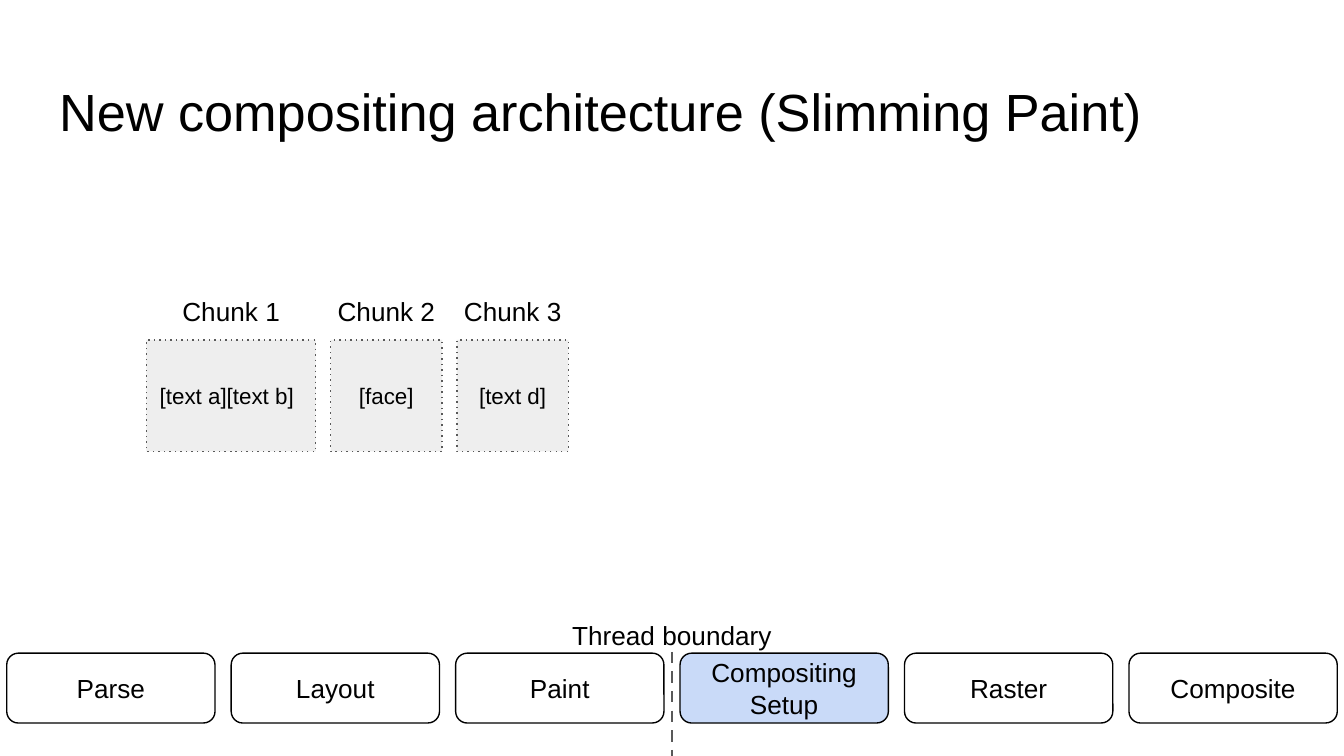
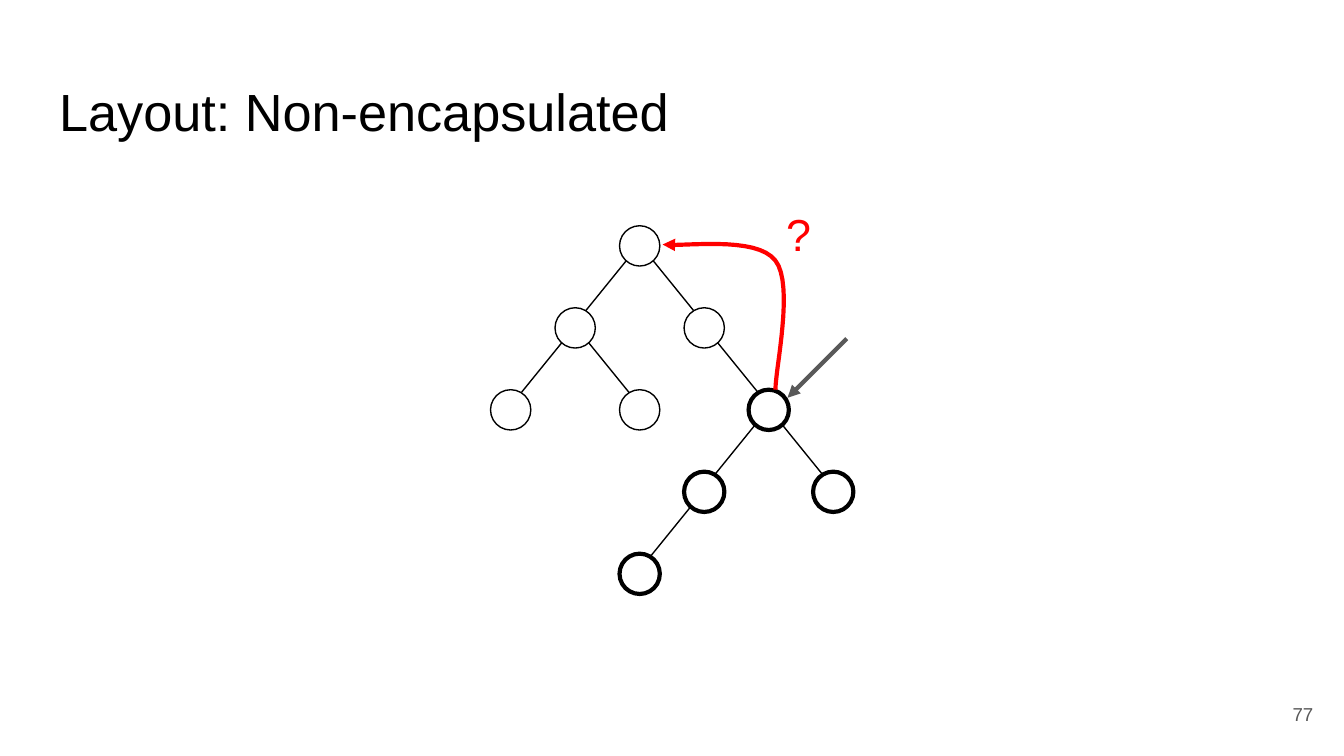
from lxml.etree import SubElement
from pptx import Presentation
from pptx.dml.color import RGBColor
from pptx.enum.shapes import MSO_CONNECTOR, MSO_SHAPE
from pptx.enum.text import MSO_ANCHOR, MSO_AUTO_SIZE, PP_ALIGN
from pptx.oxml.ns import qn
from pptx.util import Inches, Pt

FONT = "Arial"
BLACK, WHITE, GRAY = "000000", "FFFFFF", "595959"
PALE, BLUE, RED = "EEEEEE", "C9DAF8", "FF0000"
LEFT, MID, RIGHT = PP_ALIGN.LEFT, PP_ALIGN.CENTER, PP_ALIGN.RIGHT
TOP, CENTER, BOTTOM = MSO_ANCHOR.TOP, MSO_ANCHOR.MIDDLE, MSO_ANCHOR.BOTTOM

STAGES = [
    ("Parse", WHITE),
    ("Layout", WHITE),
    ("Paint", WHITE),
    ("Compositing\nSetup", BLUE),
    ("Raster", None),
    ("Composite", None),
]
CHUNKS = [
    ("Chunk 1", "[text a][text b]", 1.26, LEFT),
    ("Chunk 2", "[face]", 0.83, MID),
    ("Chunk 3", "[text d]", 0.83, MID),
]
# name: (column, row, line width, parent)
NODES = {
    "root": (0, 0, 0.75, None),
    "left": (-1, 1, 0.75, "root"),
    "right": (1, 1, 0.75, "root"),
    "far": (-2, 2, 0.75, "left"),
    "near": (0, 2, 0.75, "left"),
    "dirty": (2, 2, 2.25, "right"),
    "inner": (1, 3, 2.25, "dirty"),
    "outer": (3, 3, 2.25, "dirty"),
    "leaf": (0, 4, 2.25, "inner"),
}
CURVES = [
    [(5.77, 2.9), (5.77, 2.74), (5.91, 2.12), (5.77, 1.94)],
    [(5.77, 1.94), (5.63, 1.75), (5.07, 1.84), (4.93, 1.82)],
]


def color(code):
    return RGBColor.from_string(code)


def style(frame, text, size, ink=BLACK, align=LEFT, anchor=TOP):
    frame.text = text
    frame.word_wrap = True
    frame.auto_size = MSO_AUTO_SIZE.NONE
    frame.vertical_anchor = anchor
    frame.margin_left = frame.margin_right = Inches(0.1)
    frame.margin_top = frame.margin_bottom = Inches(0.1)
    for para in frame.paragraphs:
        para.alignment = align
        for run in para.runs:
            run.font.name = FONT
            run.font.size = Pt(size)
            run.font.color.rgb = color(ink)


def stroke(shape, ink, width, dash=None, arrow=False):
    shape.line.color.rgb = color(ink)
    shape.line.width = Pt(width)
    ln = shape._element.spPr.find(qn("a:ln"))
    if dash:
        SubElement(ln, qn("a:prstDash")).set("val", dash)
    if arrow:
        SubElement(ln, qn("a:tailEnd")).set("type", "triangle")


def label(slide, area, text, size, **look):
    box = slide.shapes.add_textbox(*map(Inches, area))
    style(box.text_frame, text, size, **look)


def block(slide, kind, area, fill, ink, width, dash=None):
    shape = slide.shapes.add_shape(kind, *map(Inches, area))
    shape.shadow.inherit = False
    if fill:
        shape.fill.solid()
        shape.fill.fore_color.rgb = color(fill)
    else:
        shape.fill.background()
    stroke(shape, ink, width, dash)
    return shape


def link(slide, start, end, ink, width, **look):
    line = slide.shapes.add_connector(
        MSO_CONNECTOR.STRAIGHT, *map(Inches, start + end))
    stroke(line, ink, width, **look)
    SubElement(line._element.spPr, qn("a:effectLst"))


def start(deck, text):
    slide = deck.slides.add_slide(deck.slide_layouts[5])
    title = slide.shapes.title
    title.left, title.top = Inches(0.34), Inches(0.49)
    title.width, title.height = Inches(9.32), Inches(0.63)
    style(title.text_frame, text, 28)
    return slide


def stages(slide):
    for i, (name, fill) in enumerate(STAGES):
        area = (0.05 + 1.67 * i, 4.86, 1.55, 0.52)
        box = block(slide, MSO_SHAPE.ROUNDED_RECTANGLE, area, fill, BLACK, 0.75)
        style(box.text_frame, name, 14, align=MID, anchor=CENTER)
    link(slide, (5, 4.85), (5, 5.72), GRAY, 1.5, dash="dash")
    label(slide, (3.93, 4.5, 2.14, 0.44), "Thread boundary", 14,
          align=MID, anchor=BOTTOM)


def chunks(slide):
    x, y, high, gap, wide = 1.09, 2.53, 0.83, 0.11, 1.48
    for name, text, width, align in CHUNKS:
        area = (x, y, width, high)
        block(slide, MSO_SHAPE.RECTANGLE, area, PALE, GRAY, 0.75, "dot")
        label(slide, area, text, 12, align=align, anchor=CENTER)
        label(slide, (x + (width - wide) / 2, y - 0.65, wide, 0.65), name, 14,
              align=MID, anchor=BOTTOM)
        x += width + gap


def spot(name):
    col, row = NODES[name][:2]
    return 4.76 + 0.48 * col, 1.83 + 0.61 * row


def tree(slide):
    size = 0.3
    for name, (col, row, width, parent) in NODES.items():
        x, y = spot(name)
        block(slide, MSO_SHAPE.OVAL, (x - size / 2, y - size / 2, size, size),
              None, BLACK, width)
        if parent:
            px, py = spot(parent)
            side = 1 if x > px else -1
            link(slide, (px + 0.1 * side, py + 0.11),
                 (x - 0.08 * side, y - 0.13), BLACK, 0.75)


def bezier(points, t):
    weights = ((1 - t) ** 3, 3 * t * (1 - t) ** 2, 3 * t * t * (1 - t), t ** 3)
    return tuple(Inches(sum(w * p[k] for w, p in zip(weights, points)))
                 for k in (0, 1))


def query(slide):
    steps = 16
    dots = [bezier(curve, i / steps)
            for curve in CURVES for i in range(1, steps + 1)]
    pen = slide.shapes.build_freeform(*bezier(CURVES[0], 0))
    pen.add_line_segments(dots, close=False)
    curve = pen.convert_to_shape()
    curve.shadow.inherit = False
    curve.fill.background()
    stroke(curve, RED, 2.25, arrow=True)
    label(slide, (5.75, 1.44, 0.38, 0.63), "?", 24, ink=RED)
    link(slide, (6.3, 2.52), (5.86, 2.96), GRAY, 2.25, arrow=True)


def main():
    deck = Presentation()
    deck.slide_width, deck.slide_height = Inches(10), Inches(10 * 9 / 16)
    slide = start(deck, "New compositing architecture (Slimming Paint)")
    stages(slide)
    chunks(slide)
    slide = start(deck, "Layout: Non-encapsulated")
    label(slide, (9.27, 5.1, 0.6, 0.43), "77", 10, ink=GRAY,
          align=RIGHT, anchor=CENTER)
    tree(slide)
    query(slide)
    deck.save("out.pptx")


if __name__ == "__main__":
    main()
